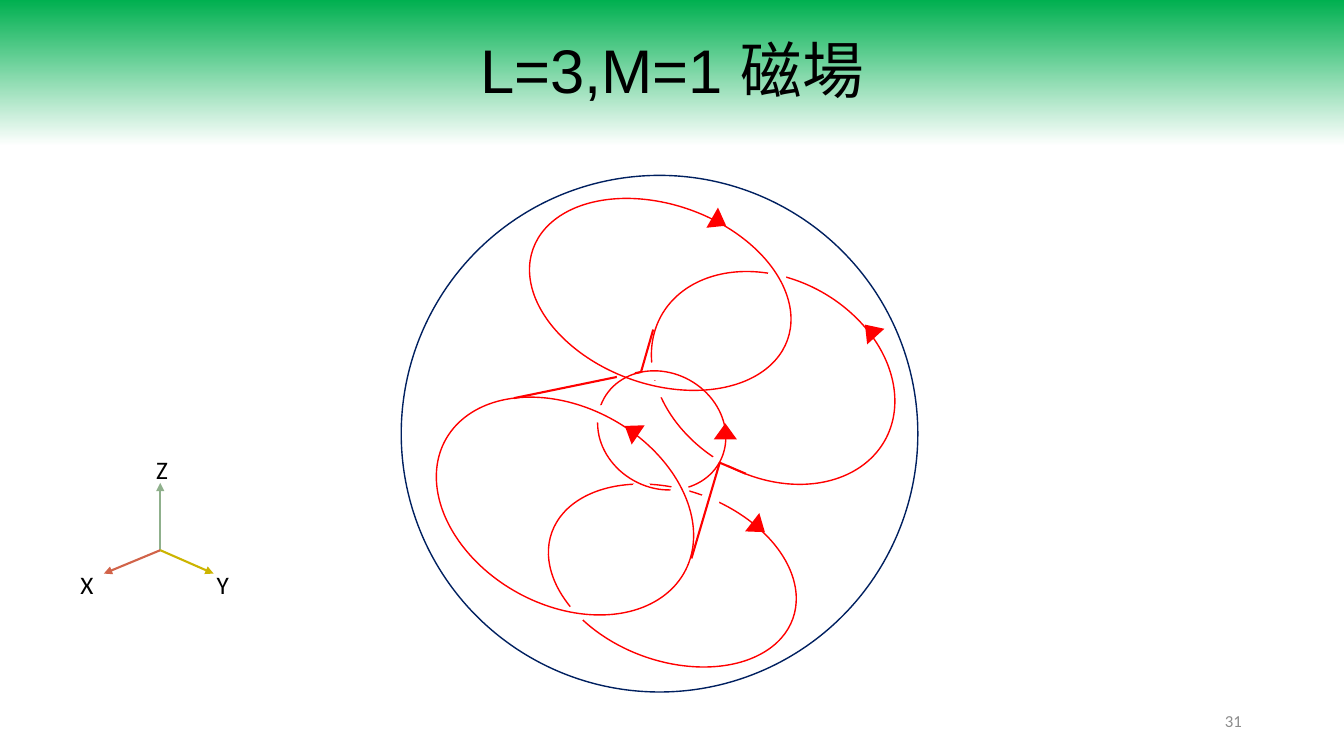
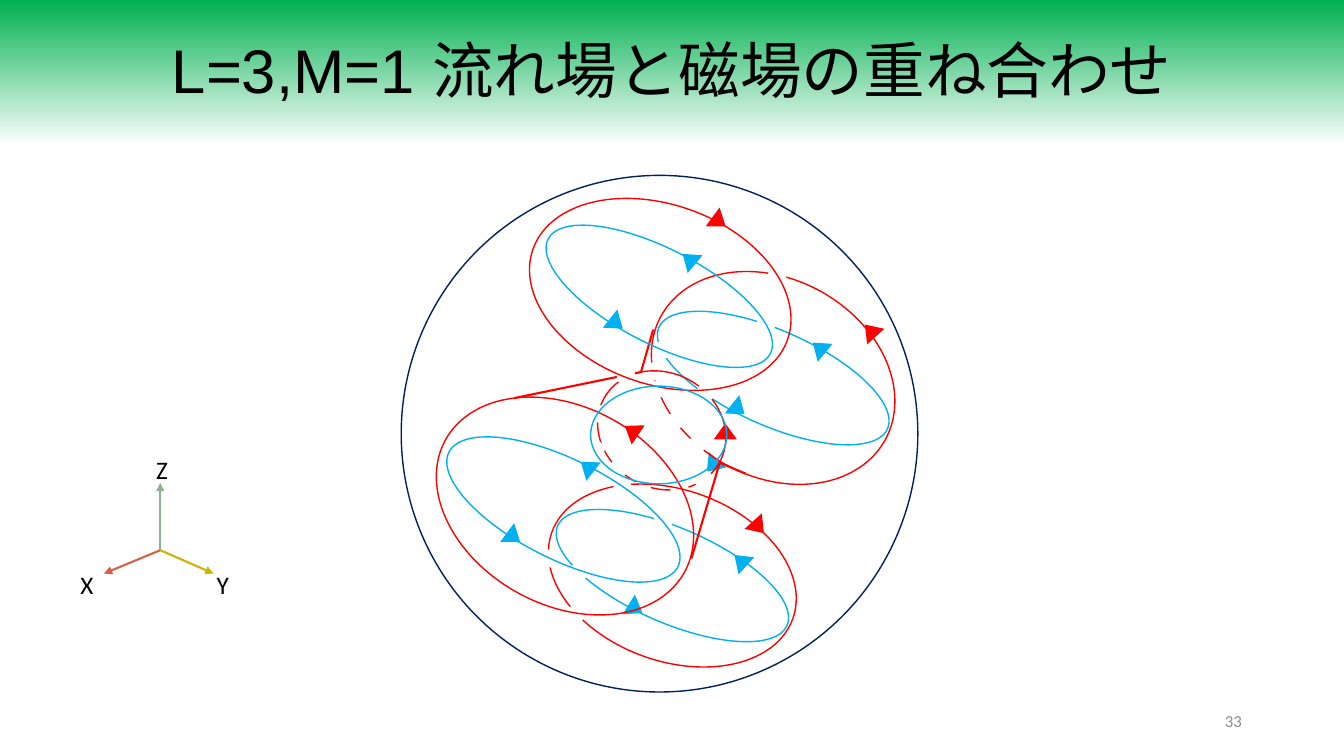
import dataclasses

import lxml.etree
import pptx
import pptx.dml.color
import pptx.enum.shapes
import pptx.enum.text
import pptx.oxml.ns
import pptx.util

Pt = pptx.util.Pt
SHAPES = pptx.enum.shapes.MSO_SHAPE
ALIGN = pptx.enum.text.PP_ALIGN
ANCHOR = pptx.enum.text.MSO_ANCHOR
AUTO_SIZE = pptx.enum.text.MSO_AUTO_SIZE


@dataclasses.dataclass(frozen=True)
class Theme:
    band: str = "00B050"
    paper: str = "FFFFFF"
    text: str = "000000"
    number: str = "8C8C8C"
    sphere: str = "002060"
    magnetic: str = "FF0000"
    flow: str = "00B0F0"
    axis_x: str = "D16349"
    axis_y: str = "CCB400"
    axis_z: str = "8FB08C"
    title_font: str = "Arial"
    body_font: str = "Calibri"
    title_size: int = 44
    label_size: int = 18
    number_size: int = 12
    loop_width: float = 1
    line_width: float = 1.5


THEME = Theme()
SLIDE_SIZE = (960, 540)
TITLE_BAND = (0, 0, 960, 104.4)
NUMBER_BOX = (678.2, 500.4, 216, 28.8)
SPHERE = (286.6, 125.3, 369, 369)
GAP_SIZE = (13.7, 13)
ARROW_SIZE = (16.6, 11.5)
LABEL_SIZE = (20.2, 28.8)

AXIS_ORIGIN = (114.5, 393)
AXES = (
    ("Z", (114.5, 344.9), (104.4, 321.1), THEME.axis_z),
    ("X", (74.2, 409.7), (50.4, 403.2), THEME.axis_x),
    ("Y", (152.6, 409.7), (147.6, 403.2), THEME.axis_y),
)

MAGNETIC_LOOPS = {
    "lower right": (388.8, 349.9, 182.9, 122.4, 19.7),
    "right": (460.8, 199.4, 182.9, 141.1, 29.1),
    "upper": (375.1, 146.2, 193, 128.2, 19.7),
    "centre": (425.5, 266.4, 94.3, 82.1, 29.1),
    "left": (306, 290.9, 195.1, 141.1, 29.1),
}
FLOW_LOOPS = {
    "right": (463, 236.2, 178.6, 67.7, 24),
    "lower right": (391, 377.3, 178.6, 67.7, 23.5),
    "upper": (381.6, 177.8, 178.6, 67.7, 27.3),
    "centre": (421.9, 275.8, 97.2, 69.8, 0),
    "left": (311, 328.3, 182.9, 71.3, 26.6),
}
FLOW_ARROWS = (
    (576.7, 242.6, 309.6), (519.1, 286.6, 128.4), (500.4, 326.9, 221.6),
    (411.1, 327.6, 307.8), (358.6, 378, 126.6), (520.6, 394.6, 312.2),
    (445.7, 429.1, 121.9), (483.8, 179.3, 309.6), (432, 225.4, 128.4),
)
UPPER_LINK = ((367.2, 284.4), (457.9, 265.7), (466.6, 235.4))
LOWER_LINK = ((493.9, 398.9), (514.1, 330.5), (532.8, 338.4))

BACK_GAPS = ((460.8, 258.5), (406.8, 401.8), (540.7, 223.9))
MIDDLE_GAPS = ((440.6, 262.8), (500.4, 350.6), (497.5, 273.6), (547.9, 191.5))
FRONT_GAPS = ((451.4, 342.7), (463, 271.4))
RIGHT_GAP = (478.8, 248.4)
BOTTOM_GAP = (404.6, 432)
RING_GAPS = ((422.6, 289.4), (478.8, 344.2))
HIDDEN_RING_GAPS = (
    (418.3, 314.6), (435.6, 327.6), (495.4, 335.5), (489.6, 312.5), (473.8, 295.2),
)


def rgb(color):
    return pptx.dml.color.RGBColor.from_string(color)


def points(values):
    return [Pt(value) for value in values]


def apply(target, values):
    for name, value in values.items():
        setattr(target, name, value)


class Deck:
    def __init__(self, theme):
        self.theme = theme
        self.presentation = pptx.Presentation()
        width, height = points(SLIDE_SIZE)
        apply(self.presentation, {"slide_width": width, "slide_height": height})
        self.slide = None

    def start_slide(self, title, number):
        self.slide = self.presentation.slides.add_slide(self.presentation.slide_layouts[5])
        self.title(title)
        self.text(number, NUMBER_BOX, self.theme.number_size, self.theme.number,
                  {"vertical_anchor": ANCHOR.MIDDLE, "word_wrap": True}, ALIGN.RIGHT)
        self.ellipse(SPHERE, self.theme.sphere)
        self.axes()

    def fill_paragraph(self, frame, text, font, size, color, alignment):
        paragraph = frame.paragraphs[0]
        paragraph.text = text
        paragraph.alignment = alignment
        apply(paragraph.font, {"name": font, "size": Pt(size)})
        paragraph.font.color.rgb = rgb(color)
        return paragraph

    def title(self, text):
        shape = self.slide.shapes.title
        apply(shape, dict(zip(("left", "top", "width", "height"), points(TITLE_BAND))))
        shape.fill.gradient()
        shape.fill.gradient_angle = 270
        colors = (self.theme.band, self.theme.paper)
        for position, (stop, color) in enumerate(zip(shape.fill.gradient_stops, colors)):
            stop.color.rgb = rgb(color)
            stop.position = position
        apply(shape.text_frame, {"vertical_anchor": ANCHOR.MIDDLE, "word_wrap": True,
                                 "auto_size": AUTO_SIZE.NONE})
        paragraph = self.fill_paragraph(shape.text_frame, text, self.theme.title_font,
                                        self.theme.title_size, self.theme.text, ALIGN.CENTER)
        paragraph.line_spacing = 0.9

    def text(self, text, box, size, color, frame_format, alignment=ALIGN.LEFT):
        frame = self.slide.shapes.add_textbox(*points(box)).text_frame
        apply(frame, frame_format)
        self.fill_paragraph(frame, text, self.theme.body_font, size, color, alignment)

    def shape(self, kind, box, rotation=0):
        shape = self.slide.shapes.add_shape(kind, *points(box))
        shape.rotation = rotation
        shape.shadow.inherit = False
        return shape

    def ellipse(self, box, color, rotation=0):
        shape = self.shape(SHAPES.OVAL, box, rotation)
        shape.fill.background()
        shape.line.color.rgb = rgb(color)
        shape.line.width = Pt(self.theme.loop_width)

    def solid(self, kind, box, color, rotation=0):
        shape = self.shape(kind, box, rotation)
        shape.fill.solid()
        shape.fill.fore_color.rgb = rgb(color)
        shape.line.fill.background()

    def magnetic_loops(self, *names):
        for name in names:
            *box, rotation = MAGNETIC_LOOPS[name]
            self.ellipse(box, self.theme.magnetic, rotation)

    def flow_loops(self, *names):
        for name in names:
            *box, rotation = FLOW_LOOPS[name]
            self.ellipse(box, self.theme.flow, rotation)

    def gaps(self, *places):
        for place in places:
            self.solid(SHAPES.OVAL, place + GAP_SIZE, self.theme.paper)

    def arrows(self, color, places):
        for left, top, rotation in places:
            self.solid(SHAPES.ISOSCELES_TRIANGLE, (left, top) + ARROW_SIZE, color, rotation)

    def magnetic_arrows(self, upper_angle, lower_angle):
        self.arrows(self.theme.magnetic, (
            (442.8, 301.7, 303.9), (509.8, 302.4, 0), (613.4, 230.4, 317.9),
            (505.4, 152.6, upper_angle), (533.5, 370.8, lower_angle),
        ))

    def line(self, start, end, color, arrow=False):
        connector = self.slide.shapes.add_connector(
            pptx.enum.shapes.MSO_CONNECTOR.STRAIGHT, *points(start + end))
        connector.line.color.rgb = rgb(color)
        connector.line.width = Pt(self.theme.line_width)
        properties = connector._element.spPr
        qn = pptx.oxml.ns.qn
        if arrow:
            lxml.etree.SubElement(properties.find(qn("a:ln")), qn("a:tailEnd"), type="triangle")
        lxml.etree.SubElement(properties, qn("a:effectLst"))

    def link(self, corners):
        for start, end in zip(corners, corners[1:]):
            self.line(start, end, self.theme.magnetic)

    def axes(self):
        for name, end, label, color in AXES:
            self.line(AXIS_ORIGIN, end, color, arrow=True)
            self.text(name, label + LABEL_SIZE, self.theme.label_size, self.theme.text,
                      {"word_wrap": False, "auto_size": AUTO_SIZE.SHAPE_TO_FIT_TEXT})


def magnetic_field(deck):
    deck.start_slide("L=3,M=1 磁場", "31")
    deck.magnetic_loops("lower right", "right")
    deck.gaps(*BACK_GAPS, RIGHT_GAP)
    deck.link(UPPER_LINK)
    deck.magnetic_arrows(119.9, 128)
    deck.gaps(*MIDDLE_GAPS, (506.9, 324.7))
    deck.link(LOWER_LINK)
    deck.gaps(*FRONT_GAPS)
    deck.magnetic_loops("upper")
    deck.gaps(BOTTOM_GAP)
    deck.magnetic_loops("centre")
    deck.gaps(*RING_GAPS)
    deck.magnetic_loops("left")


def flow_and_magnetic_field(deck):
    deck.start_slide("L=3,M=1 流れ場と磁場の重ね合わせ", "33")
    deck.flow_loops("right", "lower right")
    deck.gaps((466.6, 366.5), RIGHT_GAP)
    deck.arrows(deck.theme.flow, FLOW_ARROWS)
    deck.gaps((450, 339.1))
    deck.magnetic_loops("right")
    deck.gaps(*BACK_GAPS, (466.6, 243.4))
    deck.magnetic_loops("centre")
    deck.link(UPPER_LINK)
    deck.magnetic_arrows(126.3, 138.2)
    deck.gaps(*MIDDLE_GAPS, RING_GAPS[1])
    deck.link(LOWER_LINK)
    deck.gaps(RING_GAPS[0], *HIDDEN_RING_GAPS, *FRONT_GAPS)
    deck.magnetic_loops("upper", "lower right")
    deck.gaps(BOTTOM_GAP)
    deck.magnetic_loops("left")
    deck.flow_loops("centre", "upper")
    deck.gaps((385.9, 392.4), (437.8, 342.7))
    deck.flow_loops("left")


def main():
    deck = Deck(THEME)
    magnetic_field(deck)
    flow_and_magnetic_field(deck)
    deck.presentation.save("out.pptx")


if __name__ == "__main__":
    main()
